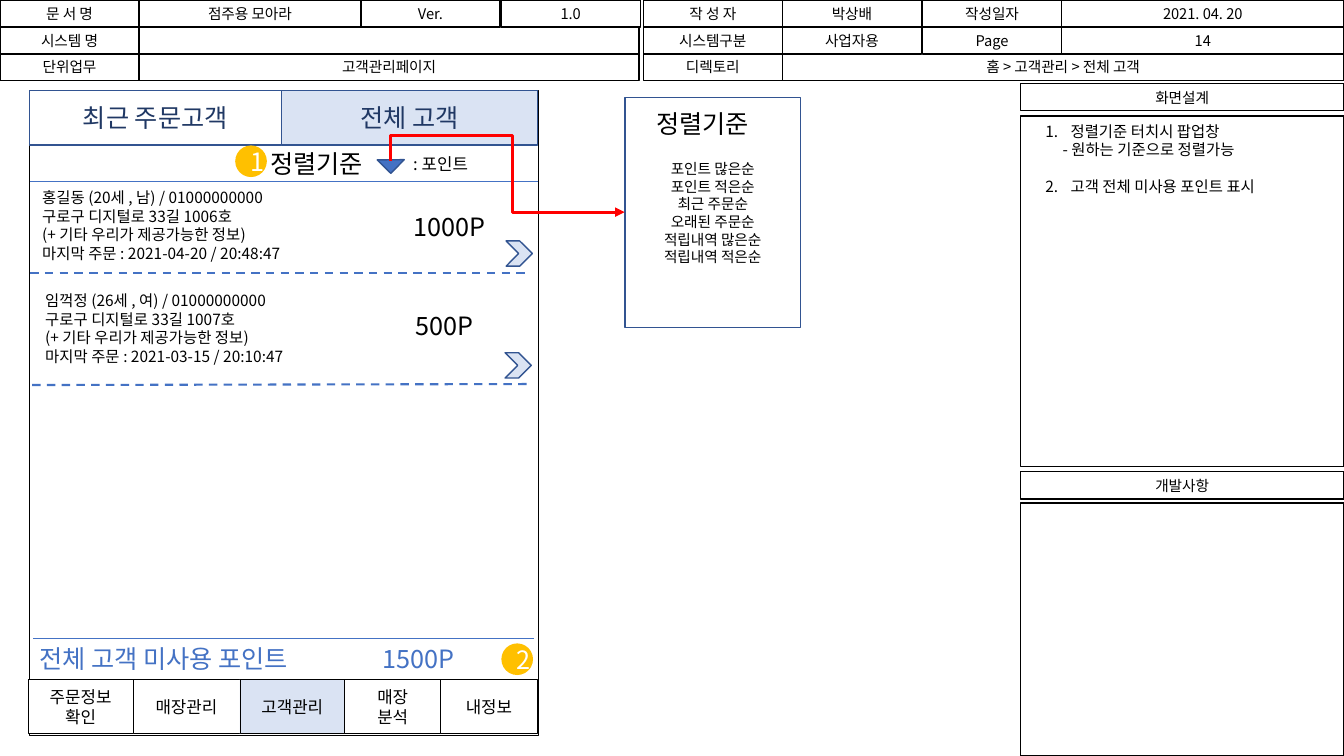
import pptx
import pptx.util
import pptx.dml.color
import pptx.enum.dml
import pptx.enum.shapes
import pptx.enum.text
import pptx.oxml
import pptx.oxml.ns

Inches, Pt = pptx.util.Inches, pptx.util.Pt
SHAPE = pptx.enum.shapes.MSO_SHAPE
LINK = pptx.enum.shapes.MSO_CONNECTOR
ALIGN = pptx.enum.text.PP_ALIGN
ANCHOR = pptx.enum.text.MSO_ANCHOR
FONT = "Noto Sans CJK KR"
BLACK, WHITE, BLUE, EDGE = "000000", "FFFFFF", "4472C4", "325491"
NAVY, PALE, GOLD, RED = "203864", "DAE3F3", "FFC000", "FF0000"

# Content: header rows hold (left, width, text)
header = [
    [(0, 1.38, "문 서 명"), (1.38, 2.2, "점주용 모아라"), (3.58, 1.38, "Ver."),
     (4.97, 1.38, "1.0"), (6.38, 1.38, "작 성 자"), (7.76, 1.38, "박상배"),
     (9.15, 1.38, "작성일자"), (10.53, 2.8, "2021. 04. 20")],
    [(0, 1.38, "시스템 명"), (1.38, 4.96, ""), (6.38, 1.38, "시스템구분"),
     (7.76, 1.38, "사업자용"), (9.15, 1.38, "Page"), (10.53, 2.8, "14")],
    [(0, 1.38, "단위업무"), (1.38, 4.96, "고객관리페이지"),
     (6.38, 1.38, "디렉토리"), (7.76, 5.57, "홈 > 고객관리 > 전체 고객")],
]
panels = [(0.83, 0.27, "화면설계"), (1.15, 3.48, ""),
          (4.68, 0.27, "개발사항"), (4.99, 2.51, "")]
notes = ["정렬기준 터치시 팝업창", "- 원하는 기준으로 정렬가능",
         "고객 전체 미사용 포인트 표시"]
tabs = [(0.29, 2.5, "최근 주문고객", WHITE), (2.79, 2.54, "전체 고객", PALE)]
# Customer: left, top, points position, chevron position, rule ends, points, lines
customers = [
    (0.32, 1.82, (4, 2.05), (5.02, 2.39), (0.3, 2.71, 5.24, 2.71), "1000P",
     ["홍길동 (20세 , 남) / 01000000000", "구로구 디지털로 33길 1006호",
      "(+ 기타 우리가 제공가능한 정보)", "마지막 주문 : 2021-04-20 / 20:48:47"]),
    (0.35, 2.84, (4.02, 3.03), (5.01, 3.5), (0.32, 3.82, 5.27, 3.81), "500P",
     ["임꺽정 (26세 , 여) / 01000000000", "구로구 디지털로 33길 1007호",
      "(+ 기타 우리가 제공가능한 정보)", "마지막 주문 : 2021-03-15 / 20:10:47"]),
]
sort_orders = ["포인트 많은순", "포인트 적은순", "최근 주문순", "오래된 주문순",
               "적립내역 많은순", "적립내역 적은순"]
menu = [(1.04, ["주문정보", "확인"]), (1.06, ["매장관리"]), (1.04, ["고객관리"]),
        (0.95, ["매장", "분석"]), (0.96, ["내정보"])]
selected_menu = 2

prs = pptx.Presentation()
prs.slide_width, prs.slide_height = Inches(13.33), Inches(7.5)
s = prs.slides.add_slide(prs.slide_layouts[6])


def color(value):
    return pptx.dml.color.RGBColor.from_string(value)


def add_xml(parent, tag, **attrs):
    child = pptx.oxml.parse_xml(f"<a:{tag} {pptx.oxml.ns.nsdecls('a')}/>")
    for key, value in attrs.items():
        child.set(key, value)
    parent.append(child)
    return child


def write(tf, lines, size, ink, align):
    tf.word_wrap = True
    for i, line in enumerate(lines):
        p = tf.paragraphs[0] if i == 0 else tf.add_paragraph()
        p.alignment = align
        p.add_run().text = line
        p.font.size, p.font.name = Pt(size), FONT
        p.font.color.rgb = color(ink)
        add_xml(p._p.pPr.find(pptx.oxml.ns.qn("a:defRPr")), "ea", typeface=FONT)
        p.line_spacing = Pt(size * 1.2)


def box(x, y, w, h, lines=(), size=10.5, ink=BLACK, fill=None, line=BLACK,
        weight=1, kind=SHAPE.RECTANGLE):
    sp = s.shapes.add_shape(kind, Inches(x), Inches(y), Inches(w), Inches(h))
    sp.shadow.inherit = False
    if fill:
        sp.fill.solid()
        sp.fill.fore_color.rgb = color(fill)
    else:
        sp.fill.background()
    sp.line.color.rgb, sp.line.width = color(line), Pt(weight)
    sp.text_frame.vertical_anchor = ANCHOR.MIDDLE
    write(sp.text_frame, lines, size, ink, ALIGN.CENTER)
    return sp


def text(x, y, w, h, lines, size=18, ink=BLACK):
    tf = s.shapes.add_textbox(Inches(x), Inches(y), Inches(w), Inches(h)).text_frame
    write(tf, lines, size, ink, ALIGN.LEFT)
    return tf


def connect(x1, y1, x2, y2, ink=BLUE, weight=0.5, kind=LINK.STRAIGHT):
    c = s.shapes.add_connector(kind, Inches(x1), Inches(y1), Inches(x2), Inches(y2))
    c.line.color.rgb, c.line.width = color(ink), Pt(weight)
    add_xml(c._element.spPr, "effectLst")
    return c


def badge(x, y, number):
    sp = box(x, y, 0.3, 0.3, [number], 18, WHITE, GOLD, GOLD, kind=SHAPE.OVAL)
    sp.text_frame.vertical_anchor = ANCHOR.MIDDLE


# Document header
for row, cells in enumerate(header):
    for x, w, label in cells:
        box(x, row * 0.265, w, 0.27, [label] if label else [])

# Side panels and numbered notes
for y, h, label in panels:
    box(10.12, y, 3.21, h, [label] if label else [])
tf = text(10.27, 1.16, 3.07, 0.84, notes, 11)
for p, start in zip(tf.paragraphs, (1, None, 2)):
    pPr = p._p.pPr
    pPr.set("marL", str(Inches(0.25 if start else 0.17)))
    if start:
        pPr.set("indent", str(Inches(-0.25)))
        bullet = add_xml(pPr, "buAutoNum", type="arabicPeriod", startAt=str(start))
        pPr.find(pptx.oxml.ns.qn("a:defRPr")).addprevious(bullet)
tf.paragraphs[2].space_before = Pt(13.2)

# Phone frame and tabs
box(0.29, 0.9, 5.05, 6.4, fill=WHITE)
for x, w, label, fill in tabs:
    box(x, 0.9, w, 0.54, [label], 18, NAVY, fill, EDGE)
connect(0.3, 1.8, 5.34, 1.8)

# Customer list
for x, y, points_at, chevron_at, rule, points, lines in customers:
    text(x, y, 4.92, 0.84, lines, 11)
    text(*points_at, 0.93, 0.4, [points])
    box(*chevron_at, 0.26, 0.25, fill=PALE, line=EDGE, kind=SHAPE.CHEVRON)
    connect(*rule, weight=1.5).line.dash_style = pptx.enum.dml.MSO_LINE.DASH

# Sort control and its popup
text(2.58, 1.42, 1.43, 0.4, ["정렬기준"])
text(4, 1.48, 2.02, 0.3, [": 포인트"], 12)
box(3.78, 1.49, 0.19, 0.19, fill=BLUE, line=EDGE,
    kind=SHAPE.RIGHT_TRIANGLE).rotation = 314.5
box(6.2, 0.97, 1.74, 2.28, sort_orders, fill=WHITE, line=EDGE)
text(6.41, 1.03, 1.43, 0.4, ["정렬기준"])

# Arrow from the sort control to the popup
arrow = connect(5.29, 0.69, 4.78, 3.01, RED, 2.25, LINK.ELBOW)
spPr = arrow._element.spPr
spPr.find(pptx.oxml.ns.qn("a:xfrm")).set("rot", str(270 * 60000))
geometry = spPr.find(pptx.oxml.ns.qn("a:prstGeom"))
geometry.set("prst", "bentConnector4")
guides = geometry.find(pptx.oxml.ns.qn("a:avLst"))
for name, value in (("adj1", -48600), ("adj2", 52100)):
    add_xml(guides, "gd", name=name, fmla=f"val {value}")
add_xml(spPr.find(pptx.oxml.ns.qn("a:ln")), "tailEnd", type="triangle")
badge(2.34, 1.45, "1")

# Total of unused points
text(0.29, 6.33, 3.3, 0.4, ["전체 고객 미사용 포인트"], ink=BLUE)
text(3.7, 6.33, 1.2, 0.4, ["1500P"], ink=BLUE)
connect(0.33, 6.33, 5.3, 6.33)
badge(4.98, 6.39, "2")

# Bottom menu
x = 0.28
for i, (w, lines) in enumerate(menu):
    box(x, 6.74, w, 0.54, lines, 12, fill=PALE if i == selected_menu else WHITE,
        weight=0.5)
    x += w

prs.save("out.pptx")
